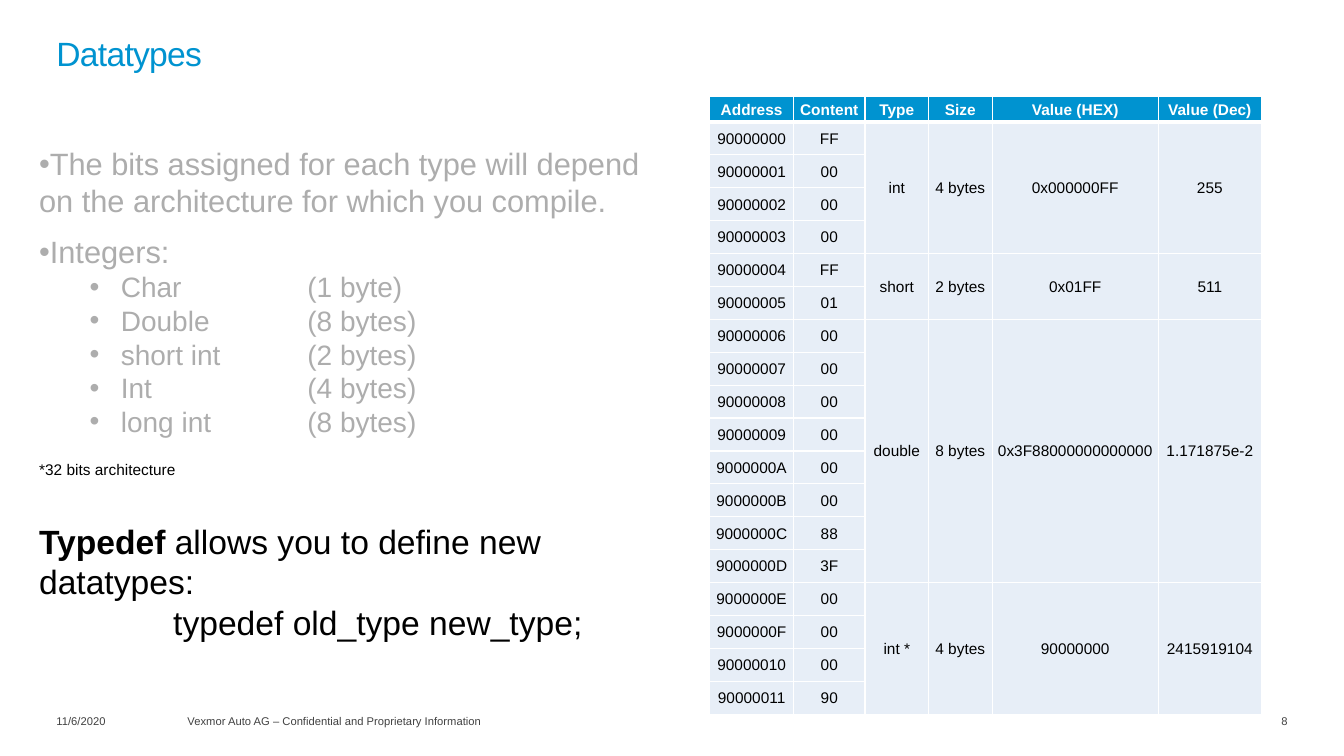
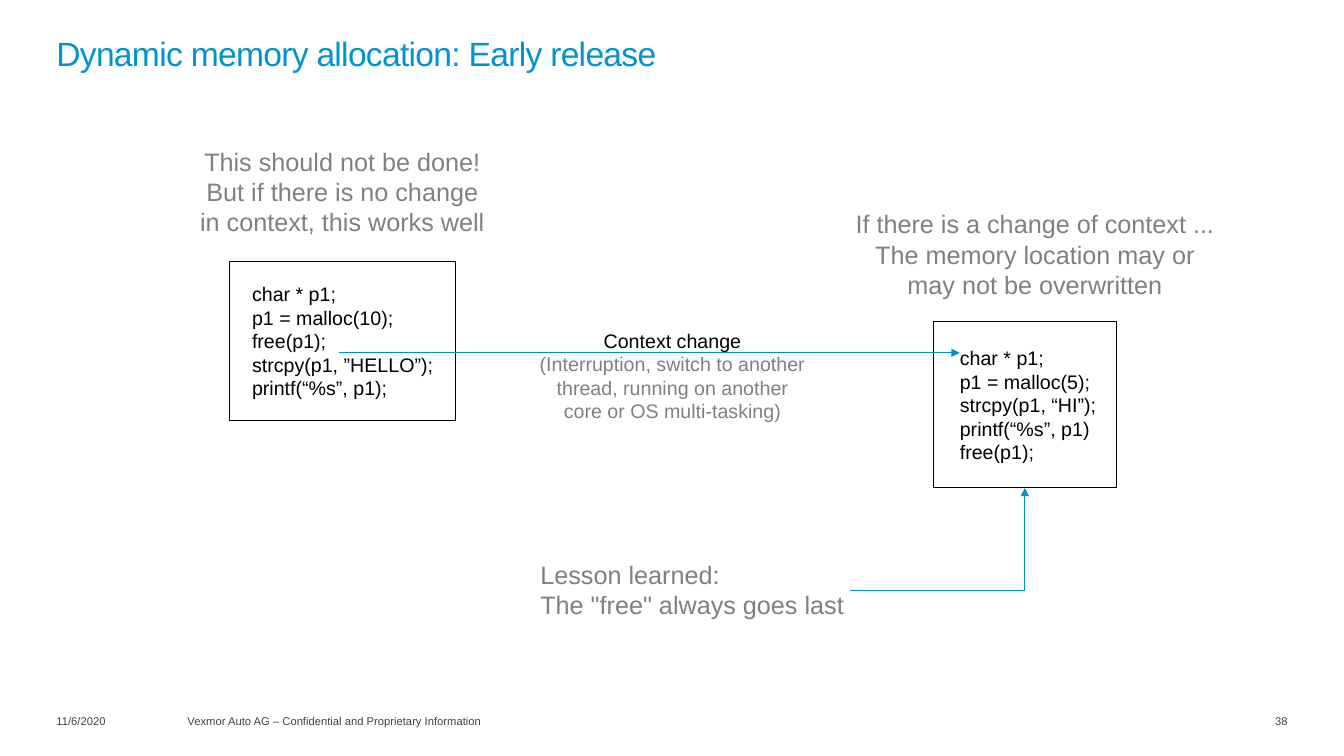
from lxml.etree import SubElement
from pptx import Presentation
from pptx.dml.color import RGBColor
from pptx.enum.shapes import MSO_CONNECTOR, MSO_SHAPE
from pptx.enum.text import MSO_ANCHOR, PP_ALIGN
from pptx.oxml.ns import qn
from pptx.util import Inches, Pt

BLUE = RGBColor(0x00, 0x93, 0xD0)
ARROW_BLUE = RGBColor(0x00, 0x90, 0xCB)
FOOTER_GRAY = RGBColor(0x41, 0x41, 0x41)
NOTE_GRAY = RGBColor(0x80, 0x80, 0x80)
FADED_GRAY = RGBColor(0xAD, 0xAD, 0xAD)
CELL_BLUE = RGBColor(0xE7, 0xEE, 0xF7)
BLACK = RGBColor(0, 0, 0)
WHITE = RGBColor(0xFF, 0xFF, 0xFF)
FONT = "Arial"
LEADING = 1.2
TAB = Inches(1.33)

DATE = "11/6/2020"
OWNER = "Vexmor Auto AG – Confidential and Proprietary Information"

INTEGERS = ["Char \t(1 byte)", "Double \t(8 bytes)", "short int \t(2 bytes)",
            "Int \t\t(4 bytes)", "long int\t(8 bytes)"]
HEADINGS = ["Address", "Content", "Type", "Size", "Value (HEX)", "Value (Dec)"]
COLUMN_WIDTHS = [0.83, 0.71, 0.63, 0.63, 1.65, 1.02]
FIRST_ADDRESS = 0x90000000
VARIABLES = [
    ("FF 00 00 00", "int", "4 bytes", "0x000000FF", "255"),
    ("FF 01", "short", "2 bytes", "0x01FF", "511"),
    ("00 00 00 00 00 00 88 3F", "double", "8 bytes", "0x3F88000000000000", "1.171875e-2"),
    ("00 00 00 90", "int *", "4 bytes", "90000000", "2415919104"),
]


def add_run(paragraph, text, size, color, bold=False):
    run = paragraph.add_run()
    run.text = text
    run.font.name = FONT
    run.font.size = Pt(size)
    run.font.bold = bold
    run.font.color.rgb = color
    return run


def add_paragraph(frame, text, size, color, align=PP_ALIGN.LEFT, bold=False,
                  leading=None, after=0):
    """Fill the frame's first paragraph, or append one if it is taken."""
    paragraph = frame.paragraphs[0]
    if paragraph.runs:
        paragraph = frame.add_paragraph()
    paragraph.alignment = align
    paragraph.line_spacing = Pt(leading or size * LEADING)
    paragraph.space_after = Pt(after)
    add_run(paragraph, text, size, color, bold)
    return paragraph


def set_margins(frame, left=0, top=0, right=0, bottom=0):
    frame.margin_left, frame.margin_top = Inches(left), Inches(top)
    frame.margin_right, frame.margin_bottom = Inches(right), Inches(bottom)


def add_text(slide, box, lines, size, color, anchor=MSO_ANCHOR.TOP, **style):
    text_box = slide.shapes.add_textbox(*map(Inches, box))
    frame = text_box.text_frame
    frame.word_wrap = True
    frame.vertical_anchor = anchor
    set_margins(frame)
    for line in lines:
        add_paragraph(frame, line, size, color, **style)
    return text_box


def add_bullet(paragraph, left=0, indent=0):
    properties = paragraph._p.get_or_add_pPr()
    properties.set("marL", str(Inches(left)))
    properties.set("indent", str(Inches(indent)))
    SubElement(properties, qn("a:buFont")).set("typeface", FONT)
    SubElement(properties, qn("a:buChar")).set("char", "•")


def add_base_slide(deck, title, number):
    """Blank slide with the shared title and footer."""
    slide = deck.slides.add_slide(deck.slide_layouts[6])
    heading = add_text(slide, (0.56, 0.28, 9.73, 0.55), [title], 24, BLUE, leading=32)
    heading.text_frame.paragraphs[0].runs[0].font._element.set("spc", "-50")
    for left, width, text, align in [(0.56, 1.31, DATE, PP_ALIGN.LEFT),
                                     (1.86, 8.43, OWNER, PP_ALIGN.LEFT),
                                     (12.22, 0.55, number, PP_ALIGN.RIGHT)]:
        add_text(slide, (left, 6.95, width, 0.27), [text], 8, FOOTER_GRAY,
                 MSO_ANCHOR.BOTTOM, align=align)
    return slide


def add_datatype_notes(slide, box):
    frame = add_text(slide, box, [], 22, FADED_GRAY).text_frame
    set_margins(frame, 0.1, 0.05, 0.1, 0.05)
    add_bullet(add_paragraph(
        frame, "The bits assigned for each type will depend on the architecture "
        "for which you compile.", 22, FADED_GRAY, after=10))
    add_bullet(add_paragraph(frame, "Integers:", 22, FADED_GRAY))
    for integer in INTEGERS:
        after = 16 if integer == INTEGERS[-1] else 0
        add_bullet(add_paragraph(frame, integer, 20, FADED_GRAY, after=after), 0.81, -0.31)
    add_paragraph(frame, "*32 bits architecture", 11, BLACK, after=30)
    typedef = add_paragraph(frame, "Typedef ", 24, BLACK, bold=True)
    add_run(typedef, "allows you to define new datatypes:", 24, BLACK)
    add_paragraph(frame, "\ttypedef old_type new_type;", 24, BLACK)
    for paragraph in frame.paragraphs:
        paragraph._p.get_or_add_pPr().set("defTabSz", str(TAB))


def set_borders(cell, bottom):
    properties = cell._tc.get_or_add_tcPr()
    sides = [("a:lnL", 1), ("a:lnR", 1), ("a:lnT", 1), ("a:lnB", bottom)]
    for position, (tag, width) in enumerate(sides):
        border = SubElement(properties, qn(tag))
        border.set("w", str(Pt(width)))
        fill = SubElement(border, qn("a:solidFill"))
        SubElement(fill, qn("a:srgbClr")).set("val", str(WHITE))
        properties.insert(position, border)


def style_cell(cell, header):
    cell.fill.solid()
    cell.fill.fore_color.rgb = BLUE if header else CELL_BLUE
    cell.vertical_anchor = MSO_ANCHOR.MIDDLE
    set_margins(cell, 0.01, 0.01, 0.01)
    set_borders(cell, 3 if header else 1)


def write_cell(cell, text, header=False):
    paragraph = cell.text_frame.paragraphs[0]
    paragraph.alignment = PP_ALIGN.CENTER
    add_run(paragraph, text, 11, WHITE if header else BLACK, header)


def add_memory_table(slide, box, header_height=0.25):
    """One row per byte; the cells describing a variable span its bytes."""
    byte_count = sum(len(variable[0].split()) for variable in VARIABLES)
    table = slide.shapes.add_table(byte_count + 1, len(HEADINGS), *map(Inches, box)).table
    for column, width in zip(table.columns, COLUMN_WIDTHS):
        column.width = Inches(width)
    for index, row in enumerate(table.rows):
        row.height = Inches((box[3] - header_height) / byte_count if index else header_height)
        for cell in row.cells:
            style_cell(cell, header=index == 0)
    for column, heading in enumerate(HEADINGS):
        write_cell(table.cell(0, column), heading, header=True)

    first_row = 1
    for content, *details in VARIABLES:
        values = content.split()
        last_row = first_row + len(values) - 1
        for row, value in enumerate(values, first_row):
            write_cell(table.cell(row, 0), f"{FIRST_ADDRESS + row - 1:08X}")
            write_cell(table.cell(row, 1), value)
        for column, detail in enumerate(details, 2):
            table.cell(first_row, column).merge(table.cell(last_row, column))
            write_cell(table.cell(first_row, column), detail)
        first_row = last_row + 1


def add_code_box(slide, box, lines, margin):
    code_box = slide.shapes.add_shape(MSO_SHAPE.RECTANGLE, *map(Inches, box))
    code_box.shadow.inherit = False
    code_box.fill.background()
    code_box.line.color.rgb = BLACK
    code_box.line.width = Pt(0.75)
    frame = code_box.text_frame
    frame.word_wrap = True
    frame.vertical_anchor = MSO_ANCHOR.MIDDLE
    set_margins(frame, left=margin)
    for line in lines:
        add_paragraph(frame, line, 14, BLACK)
    return code_box


def add_arrow(slide, kind, start, end):
    arrow = slide.shapes.add_connector(kind, *map(Inches, start + end))
    arrow.line.color.rgb = ARROW_BLUE
    arrow.line.width = Pt(0.75)
    properties = arrow.element.spPr
    SubElement(properties.find(qn("a:ln")), qn("a:tailEnd")).set("type", "triangle")
    SubElement(properties, qn("a:effectLst"))
    return arrow


def build_datatypes(deck):
    slide = add_base_slide(deck, "Datatypes", "8")
    add_datatype_notes(slide, (0.29, 1.39, 6.27, 5.06))
    add_memory_table(slide, (7.04, 0.96, 5.47, 6.13))


def build_early_release(deck):
    slide = add_base_slide(deck, "Dynamic memory allocation: Early release", "38")
    add_code_box(slide, (2.28, 2.59, 2.24, 1.58),
                 ["char * p1;", "p1 = malloc(10);", "free(p1);",
                  "strcpy(p1, ”HELLO”);", "printf(“%s”, p1);"], 0.22)
    overwriting_code = add_code_box(
        slide, (9.26, 3.19, 1.81, 1.65),
        ["char * p1;", "p1 = malloc(5);", "strcpy(p1, “HI”);",
         "printf(“%s”, p1)", "free(p1);"], 0.26)
    add_arrow(slide, MSO_CONNECTOR.STRAIGHT, (3.36, 3.5), (9.52, 3.5))

    context = add_text(slide, (5.33, 3.26, 2.68, 0.94), ["Context change"], 14, BLACK,
                       align=PP_ALIGN.CENTER)
    add_paragraph(context.text_frame, "(Interruption, switch to another thread, running on "
                  "another core or OS multi-tasking)", 14, NOTE_GRAY, PP_ALIGN.CENTER)
    add_text(slide, (1.94, 1.45, 2.91, 0.91),
             ["This should not be done!",
              "But if there is no change in context, this works well"],
             18, NOTE_GRAY, align=PP_ALIGN.CENTER)
    add_text(slide, (8.43, 2.07, 3.67, 0.91),
             ["If there is a change of context ...",
              "The memory location may or may not be overwritten"],
             18, NOTE_GRAY, align=PP_ALIGN.CENTER)
    lesson = add_text(slide, (5.36, 5.55, 3.07, 0.61),
                      ["Lesson learned:", "The \"free\" always goes last"], 18, NOTE_GRAY)

    lesson_arrow = add_arrow(slide, MSO_CONNECTOR.ELBOW, (8.43, 5.86), (10.16, 4.84))
    lesson_arrow.element.spPr.find(qn("a:prstGeom")).set("prst", "bentConnector2")
    lesson_arrow.begin_connect(lesson, 3)
    lesson_arrow.end_connect(overwriting_code, 2)


def main():
    deck = Presentation()
    deck.slide_width, deck.slide_height = Inches(13.33), Inches(7.5)
    build_datatypes(deck)
    build_early_release(deck)
    deck.save("out.pptx")


if __name__ == "__main__":
    main()
